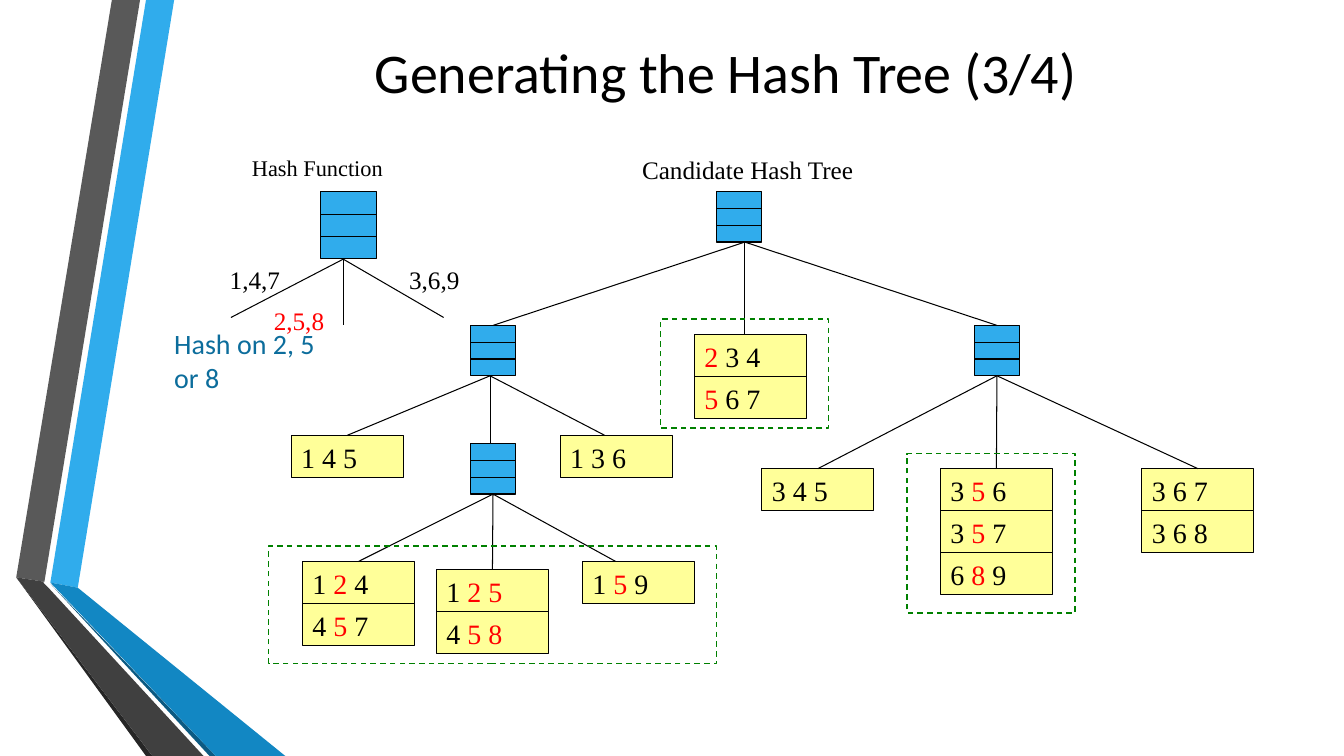
"""Build the slide that explains how the candidate hash tree is generated."""
from lxml import etree
from pptx import Presentation
from pptx import util as u
from pptx.dml.color import RGBColor
from pptx.enum import dml, shapes, text
from pptx.oxml import ns

BLACK = RGBColor(0x00, 0x00, 0x00)
RED = RGBColor(0xFF, 0x00, 0x00)
GREEN = RGBColor(0x00, 0x80, 0x00)
YELLOW = RGBColor(0xFF, 0xFF, 0x99)
SKY = RGBColor(0x30, 0xAC, 0xEC)
BLUE = RGBColor(0x12, 0x87, 0xC3)
NAVY = RGBColor(0x0C, 0x5A, 0x82)
TEAL = RGBColor(0x0C, 0x6D, 0x9C)
GREY = RGBColor(0x59, 0x59, 0x59)
CHARCOAL = RGBColor(0x40, 0x40, 0x40)
SOOT = RGBColor(0x26, 0x26, 0x26)

SERIF, SANS = "Times New Roman", "Calibri"
TOP_SIDE, BOTTOM_SIDE = 0, 2

RIBBONS = [
    (SKY, [(1.27, 14.68), (1.96, 14.81), (4.39, 0), (3.68, 0)]),
    (GREY, [(3.53, 0), (2.82, 0), (0.41, 14.55), (1.12, 14.66)]),
    (SOOT, [(0.41, 14.55), (3.68, 19.05), (3.84, 19.05)]),
    (NAVY, [(1.27, 14.71), (5.28, 19.05), (5.44, 19.05)]),
    (BLUE, [(1.27, 14.68), (5.44, 19.05), (7.19, 19.05), (1.96, 14.81)]),
    (CHARCOAL, [(5.13, 19.05), (1.22, 14.81), (1.09, 14.68), (1.12, 14.66),
                (0.41, 14.55), (3.84, 19.05)]),
]


class HashTreeSlide:
    """Hold the style and the current slide; lengths are centimetres."""

    leaf_width, leaf_height = 2.82, 1.06
    line_width = u.Pt(0.75)

    def __init__(self, slide):
        self.shapes = slide.shapes

    def ribbon(self, color, points):
        corners = [(u.Cm(x), u.Cm(y)) for x, y in points]
        builder = self.shapes.build_freeform(*corners[0])
        builder.add_line_segments(corners[1:])
        band = builder.convert_to_shape()
        band.shadow.inherit = False
        band.fill.solid()
        band.fill.fore_color.rgb = color
        band.line.fill.background()

    def label(self, words, left, top, width, height, size, font=SERIF,
              color=BLACK, wrap=False, align=text.PP_ALIGN.LEFT,
              anchor=text.MSO_ANCHOR.TOP):
        box = self.shapes.add_textbox(*map(u.Cm, (left, top, width, height)))
        frame = box.text_frame
        frame.word_wrap = wrap
        frame.vertical_anchor = anchor
        paragraph = frame.paragraphs[0]
        paragraph.text = words
        paragraph.alignment = align
        paragraph.font.name = font
        paragraph.font.size = u.Pt(size)
        paragraph.font.color.rgb = color

    def rectangle(self, left, top, width, height, fill):
        rect = self.shapes.add_shape(shapes.MSO_SHAPE.RECTANGLE,
                                     *map(u.Cm, (left, top, width, height)))
        rect.shadow.inherit = False
        rect.fill.solid()
        rect.fill.fore_color.rgb = fill
        rect.line.color.rgb = BLACK
        rect.line.width = self.line_width
        return rect

    def highlight(self, left, top, width, height):
        frame = self.rectangle(left, top, width, height, YELLOW)
        frame.fill.background()
        frame.line.color.rgb = GREEN
        frame.line.width = u.Pt(1)
        frame.line.dash_style = dml.MSO_LINE.DASH

    def link(self, start, end):
        """Join two ends, each a point or a rectangle to attach to."""
        begin_point = start if isinstance(start, tuple) else (0, 0)
        end_point = end if isinstance(end, tuple) else (0, 0)
        line = self.shapes.add_connector(shapes.MSO_CONNECTOR.STRAIGHT,
                                         *map(u.Cm, begin_point + end_point))
        if not isinstance(start, tuple):
            line.begin_connect(start, BOTTOM_SIDE)
        if not isinstance(end, tuple):
            line.end_connect(end, TOP_SIDE)
        line.line.color.rgb = BLACK
        line.line.width = self.line_width
        etree.SubElement(line._element.spPr, ns.qn("a:effectLst"))

    def branches(self, start, ends):
        for end in ends:
            self.link(start, end)

    def node(self, left, top, width=1.13, height=1.27):
        box = self.rectangle(left, top, width, height, SKY)
        for third in (1, 2):
            y = top + height * third / 3
            self.link((left, y), (left + width, y))
        return box

    def bucket(self, left, top, *itemsets):
        """Stack leaves, with starred parts in red, and return the first."""
        leaves = []
        for row, itemset in enumerate(itemsets):
            leaf = self.rectangle(left, top + row * self.leaf_height,
                                  self.leaf_width, self.leaf_height, YELLOW)
            frame = leaf.text_frame
            frame.vertical_anchor = text.MSO_ANCHOR.TOP
            paragraph = frame.paragraphs[0]
            paragraph.alignment = text.PP_ALIGN.LEFT
            paragraph.font.name = SERIF
            paragraph.font.size = u.Pt(20)
            for index, part in enumerate(itemset.split("*")):
                if part:
                    run = paragraph.add_run()
                    run.text = part
                    run.font.color.rgb = RED if index % 2 else BLACK
            leaves.append(leaf)
        return leaves[0]


def main():
    deck = Presentation()
    deck.slide_width, deck.slide_height = u.Cm(33.87), u.Cm(19.05)
    page = HashTreeSlide(deck.slides.add_slide(deck.slide_layouts[6]))

    for color, points in RIBBONS:
        page.ribbon(color, points)
    page.label("Generating the Hash Tree (3/4)", 4.37, 0, 27.84, 3.56, 40,
               SANS, wrap=True, align=text.PP_ALIGN.CENTER,
               anchor=text.MSO_ANCHOR.MIDDLE)

    page.node(18.06, 4.83)
    left_node = page.node(11.86, 8.2)
    right_node = page.node(24.56, 8.2)
    lower_node = page.node(11.86, 11.18)

    page.bucket(17.5, 8.43, "*2* 3 4", "*5* 6 7")
    leaf_145 = page.bucket(7.34, 10.97, "1 4 5")
    page.bucket(14.12, 10.97, "1 3 6")
    leaf_345 = page.bucket(19.2, 11.81, "3 4 5")
    leaf_356 = page.bucket(23.7, 11.81, "3 *5* 6", "3 *5* 7", "6 *8* 9")
    leaf_367 = page.bucket(28.78, 11.81, "3 6 7", "3 6 8")
    leaf_124 = page.bucket(7.62, 14.15, "1 *2* 4", "4 *5* 7")
    leaf_125 = page.bucket(11, 14.35, "1 *2 5*", "4 *5 8*")
    page.bucket(14.68, 14.15, "1 *5* 9")

    page.branches((18.77, 6.1), [left_node, (18.77, 8.43), right_node])
    page.branches((12.35, 9.47), [leaf_145, (12.35, 11.18), (15.24, 10.97)])
    page.branches(right_node, [leaf_345, leaf_356, leaf_367])
    page.branches(lower_node, [leaf_124, leaf_125, (15.52, 14.15)])

    page.label("Candidate Hash Tree", 15.93, 3.76, 5.89, 1.02, 18)
    page.highlight(6.77, 13.76, 11.29, 2.96)
    page.highlight(16.65, 8.04, 4.23, 2.75)
    page.highlight(22.86, 11.43, 4.23, 4.02)

    page.node(8.08, 4.83, 1.41, 1.69)
    page.branches((8.65, 6.53), [(5.82, 8), (8.65, 8.2), (11.18, 8)])
    page.label("1,4,7", 5.54, 6.53, 1.8, 1.02, 18)
    page.label("2,5,8", 6.65, 7.57, 1.8, 1.02, 18, color=RED)
    page.label("3,6,9", 10.06, 6.53, 1.8, 1.02, 18)
    page.label("Hash Function", 6.1, 3.76, 3.86, 0.94, 16)
    page.label("Hash on 2, 5 or 8", 4.14, 8.1, 4.24, 1.96, 20, SANS, TEAL,
               wrap=True)

    deck.save("out.pptx")


if __name__ == "__main__":
    main()
